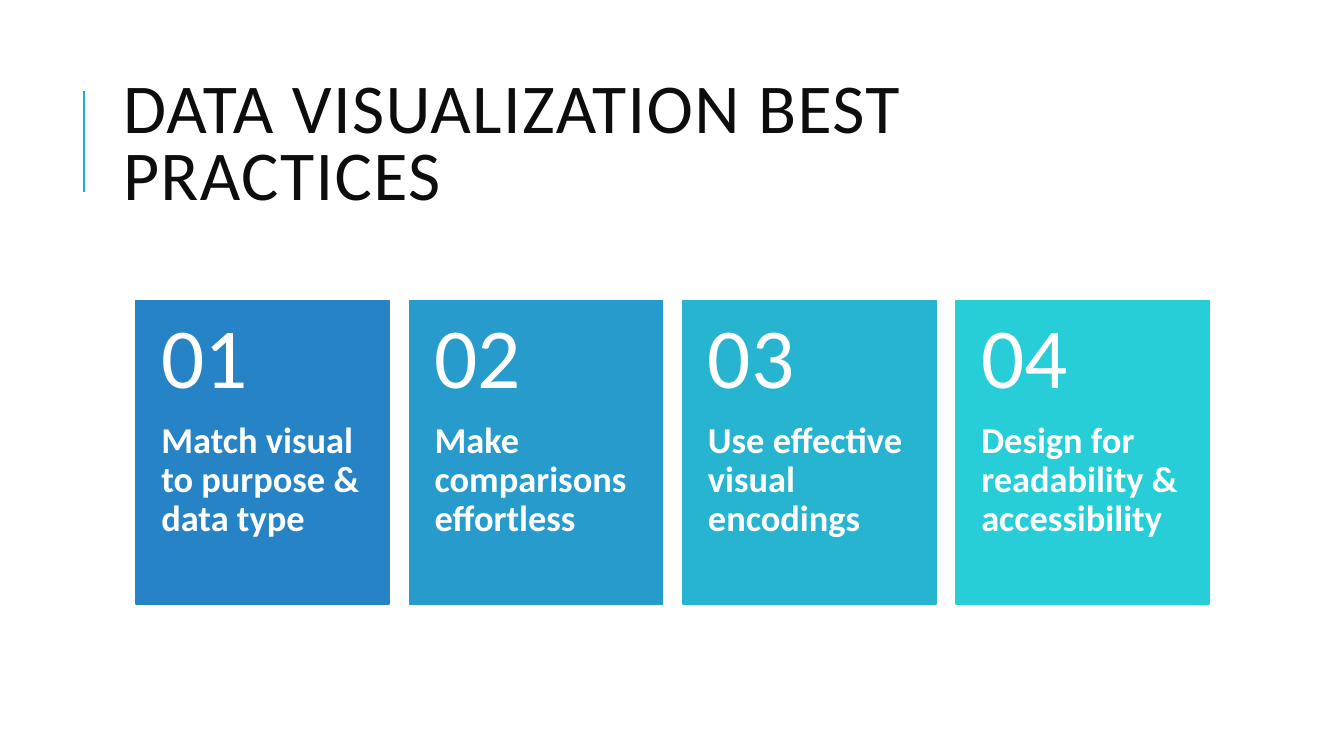
from pptx import Presentation
from pptx.dml.color import RGBColor
from pptx.enum.shapes import MSO_CONNECTOR, MSO_SHAPE
from pptx.enum.text import MSO_ANCHOR, MSO_AUTO_SIZE, PP_ALIGN
from pptx.oxml.ns import qn
from pptx.util import Inches, Pt
from lxml import etree

# Content
TITLE = "DATA VISUALIZATION BEST PRACTICES"
PRACTICES = [
    ("Match visual to purpose & data type", RGBColor(0x26, 0x83, 0xC6)),
    ("Make comparisons effortless", RGBColor(0x26, 0x9B, 0xCC)),
    ("Use effective visual encodings", RGBColor(0x27, 0xB4, 0xD1)),
    ("Design for readability & accessibility", RGBColor(0x27, 0xCE, 0xD7)),
]

# Colours and text formats
WHITE = RGBColor(0xFF, 0xFF, 0xFF)
INK = RGBColor(0x0D, 0x0D, 0x0D)
ACCENT = RGBColor(0x1C, 0xAD, 0xE4)
TITLE_FONT = {"name": "Calibri", "size": Pt(50), "bold": False}
NUMBER_FONT = {"name": "Calibri", "size": Pt(61), "bold": False}
PRACTICE_FONT = {"name": "Calibri", "size": Pt(26), "bold": True}

# Card grid, in inches
GRID_LEFT, GRID_TOP = 1.35, 2.98
CARD_WIDTH, CARD_HEIGHT = 2.51, 3.01
CARD_PITCH = CARD_WIDTH * 1.08
NUMBER_HEIGHT = CARD_HEIGHT * 0.4
SIDE_INSET = 0.25


def write(frame, text, font, color, spacing, anchor, insets):
    left, top, right, bottom = (Inches(inset) for inset in insets)
    frame_format = {
        "word_wrap": True, "auto_size": MSO_AUTO_SIZE.NONE,
        "vertical_anchor": anchor, "margin_left": left, "margin_top": top,
        "margin_right": right, "margin_bottom": bottom,
    }
    for key, value in frame_format.items():
        setattr(frame, key, value)
    paragraph = frame.paragraphs[0]
    paragraph.alignment = PP_ALIGN.LEFT
    paragraph.line_spacing = spacing
    run = paragraph.add_run()
    run.text = text
    for key, value in font.items():
        setattr(run.font, key, value)
    run.font.color.rgb = color
    return run


def add_label(slide, box, text, font, anchor, top_inset, bottom_inset):
    label = slide.shapes.add_textbox(*(Inches(length) for length in box))
    write(label.text_frame, text, font, WHITE, 0.9, anchor,
          (SIDE_INSET, top_inset, SIDE_INSET, bottom_inset))


def add_title(slide):
    # Accent rule beside the title
    rule = slide.shapes.add_connector(
        MSO_CONNECTOR.STRAIGHT, Inches(0.83), Inches(1.9), Inches(0.83), Inches(0.9))
    rule.line.color.rgb = ACCENT
    rule.line.width = Pt(1.5)
    etree.SubElement(rule._element.spPr, qn("a:effectLst"))

    # Title with letter spacing of one point
    title = slide.shapes.title
    place = {"left": 1.12, "top": 0.64, "width": 10.63, "height": 1.64}
    for key, value in place.items():
        setattr(title, key, Inches(value))
    run = write(title.text_frame, TITLE, TITLE_FONT, INK, 0.8,
                MSO_ANCHOR.MIDDLE, (0.1, 0.05, 0.1, 0.05))
    run.font._element.set("spc", "100")


def add_card(slide, index, practice, color):
    left = GRID_LEFT + index * CARD_PITCH
    card = slide.shapes.add_shape(
        MSO_SHAPE.RECTANGLE, Inches(left), Inches(GRID_TOP),
        Inches(CARD_WIDTH), Inches(CARD_HEIGHT))
    card.shadow.inherit = False
    card.fill.solid()
    card.fill.fore_color.rgb = color
    card.line.color.rgb = color
    card.line.width = Pt(1.25)

    # Practice below, number above
    add_label(slide, (left, GRID_TOP + NUMBER_HEIGHT, CARD_WIDTH, CARD_HEIGHT - NUMBER_HEIGHT),
              practice, PRACTICE_FONT, MSO_ANCHOR.TOP, 0, 0.36)
    add_label(slide, (left, GRID_TOP, CARD_WIDTH, NUMBER_HEIGHT),
              f"{index + 1:02d}", NUMBER_FONT, MSO_ANCHOR.MIDDLE, 0.18, 0.18)


def main():
    deck = Presentation()
    deck.slide_width, deck.slide_height = Inches(13.33), Inches(7.5)
    slide = deck.slides.add_slide(deck.slide_layouts[5])
    add_title(slide)
    for index, (practice, color) in enumerate(PRACTICES):
        add_card(slide, index, practice, color)
    deck.save("out.pptx")


if __name__ == "__main__":
    main()
